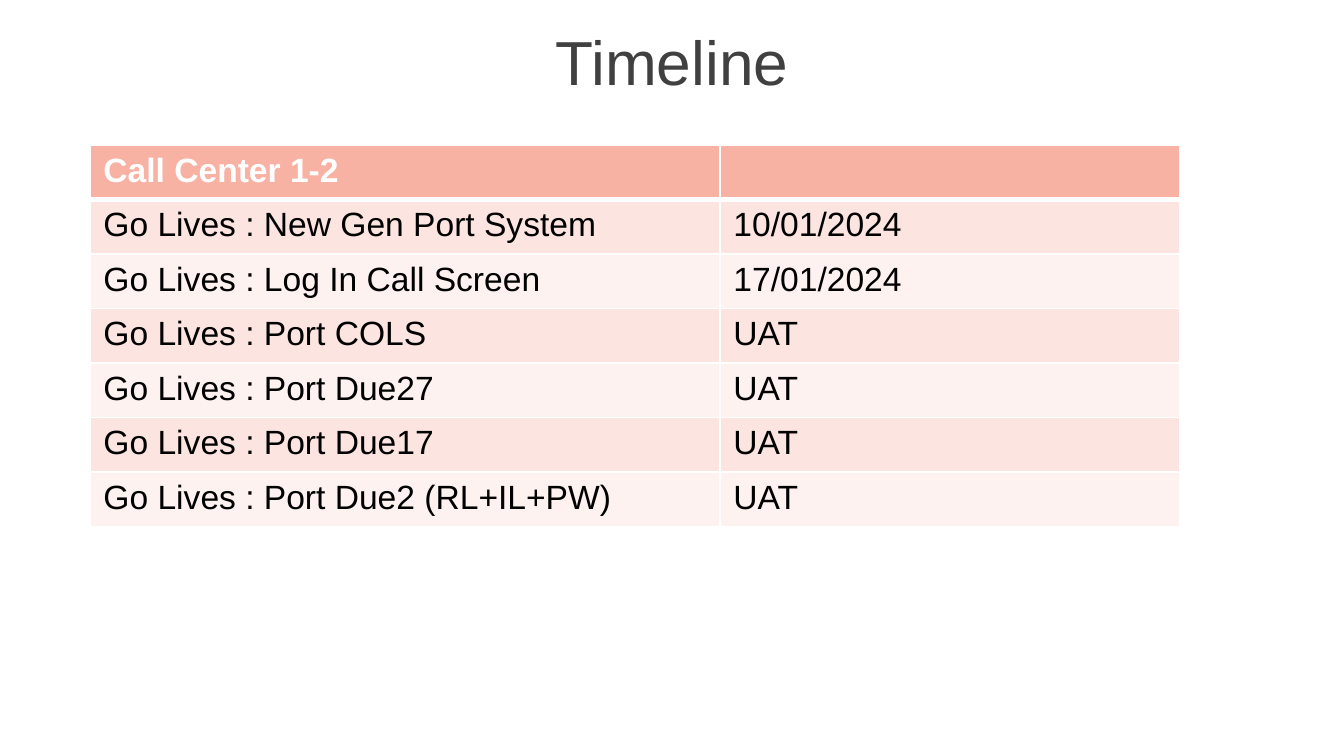
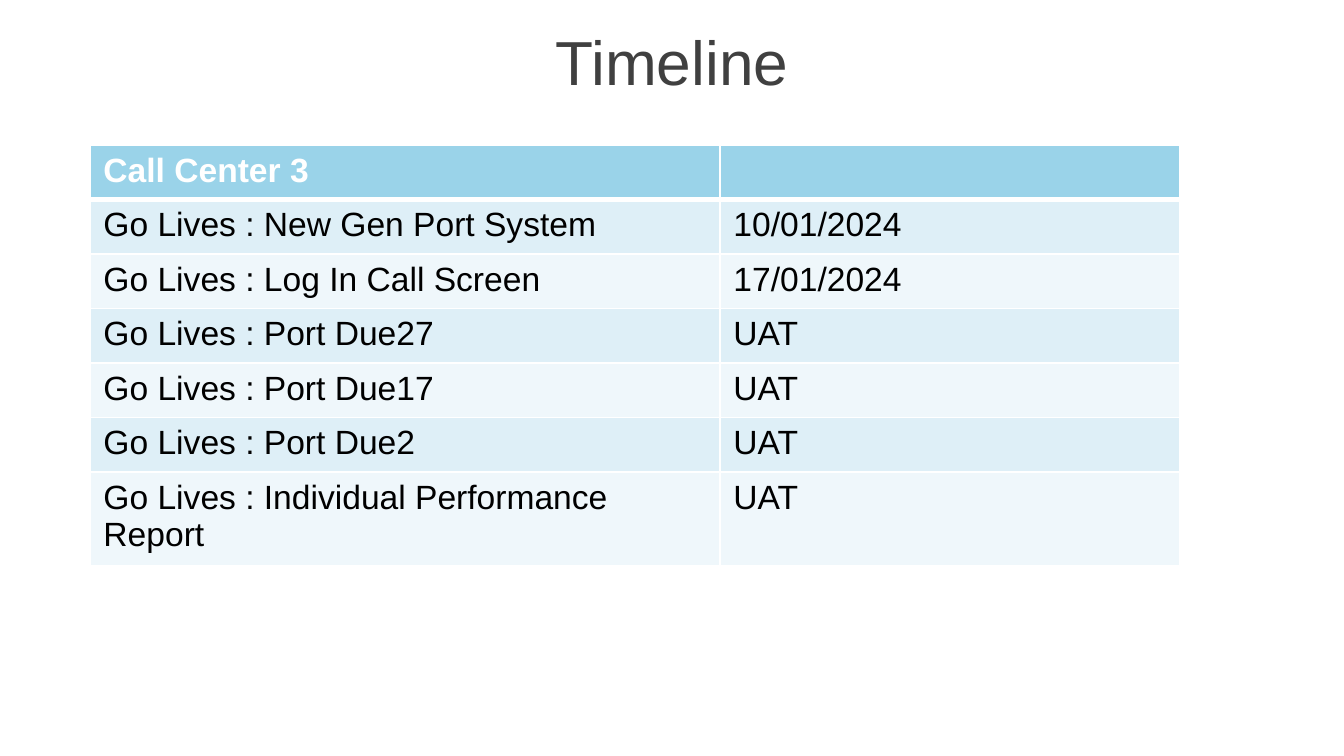
from lxml.etree import SubElement
from pptx import Presentation
from pptx.dml.color import RGBColor as RGB
from pptx.enum.text import MSO_ANCHOR as Anchor, PP_ALIGN as Align
from pptx.oxml.ns import qn
from pptx.util import Inches, Pt

WHITE = RGB(0xFF, 0xFF, 0xFF)
BLACK = RGB(0x00, 0x00, 0x00)
GREY = RGB(0x40, 0x40, 0x40)
CORAL = RGB(0xF8, 0xB2, 0xA3)
CORAL_MID = RGB(0xFC, 0xE4, 0xE0)
CORAL_PALE = RGB(0xFE, 0xF2, 0xF0)
SKY = RGB(0x9A, 0xD3, 0xE9)
SKY_MID = RGB(0xDE, 0xEF, 0xF7)
SKY_PALE = RGB(0xEF, 0xF7, 0xFB)

LAUNCHES = [
    ("Go Lives : New Gen Port System", "10/01/2024"),
    ("Go Lives : Log In Call Screen", "17/01/2024"),
]
UAT = "UAT"


def write(tf, text, *, size, color, bold=False, align=Align.LEFT, font="Arial"):
    tf.word_wrap = True
    for i, line in enumerate(text.split("\n")):
        p = tf.add_paragraph() if i else tf.paragraphs[0]
        p.alignment = align
        p.font.size = Pt(size)
        p.font.name = font
        if line:
            r = p.add_run()
            r.text = line
            r.font.size = Pt(size)
            r.font.name = font
            r.font.bold = bold
            r.font.color.rgb = color


class Deck:
    def __init__(self, width, ratio):
        self.prs = Presentation()
        self.prs.slide_width = Inches(width)
        self.prs.slide_height = Inches(width * ratio)
        self.s = None

    def box(self, x, y, w, h):
        sw, sh = self.prs.slide_width, self.prs.slide_height
        return int(x * sw), int(y * sh), int(w * sw), int(h * sh)

    def slide(self):
        self.s = self.prs.slides.add_slide(self.prs.slide_layouts[6])

    def title(self, text):
        sp = self.s.shapes.add_textbox(*self.box(0, 0.024, 1, 0.112))
        tf = sp.text_frame
        tf.vertical_anchor = Anchor.MIDDLE
        write(tf, text, size=33.3, color=GREY, align=Align.CENTER)

    def borders(self, cell, **widths):
        tc_pr = cell._tc.get_or_add_tcPr()
        for side in "LRTB":
            ln = SubElement(tc_pr, qn(f"a:ln{side}"), w=str(Pt(widths.get(side, 1))))
            fill = SubElement(ln, qn("a:solidFill"))
            SubElement(fill, qn("a:srgbClr"), val=str(WHITE))

    def table(self, rows, head, bands, split=0.578):
        x, y, w, h = self.box(0.067, 0.192, 0.811, 0.505)
        tbl = self.s.shapes.add_table(len(rows), 2, x, y, w, h).table
        tbl.columns[0].width = int(w * split)
        tbl.columns[1].width = w - int(w * split)
        for i, row in enumerate(rows):
            tbl.rows[i].height = h // len(rows)
            for j, text in enumerate(row):
                cell = tbl.cell(i, j)
                edges = {0: {"B": 3}, 1: {"T": 3}}.get(i, {})
                self.borders(cell, **edges)
                cell.fill.solid()
                cell.fill.fore_color.rgb = bands[(i - 1) % 2] if i else head
                write(cell.text_frame, text, size=18, bold=i == 0,
                      color=BLACK if i else WHITE)

    def timeline(self, team, ports, head, *bands):
        self.slide()
        self.title("Timeline")
        tests = [(f"Go Lives : {port}", UAT) for port in ports]
        self.table([(team, ""), *LAUNCHES, *tests], head, bands)


def main():
    deck = Deck(10, 9 / 16)
    deck.timeline(
        "Call Center 1-2",
        ["Port COLS", "Port Due27", "Port Due17", "Port Due2 (RL+IL+PW)"],
        CORAL, CORAL_MID, CORAL_PALE,
    )
    deck.timeline(
        "Call Center 3",
        ["Port Due27", "Port Due17", "Port Due2", "Individual Performance\nReport"],
        SKY, SKY_MID, SKY_PALE,
    )
    deck.prs.save("out.pptx")


if __name__ == "__main__":
    main()
